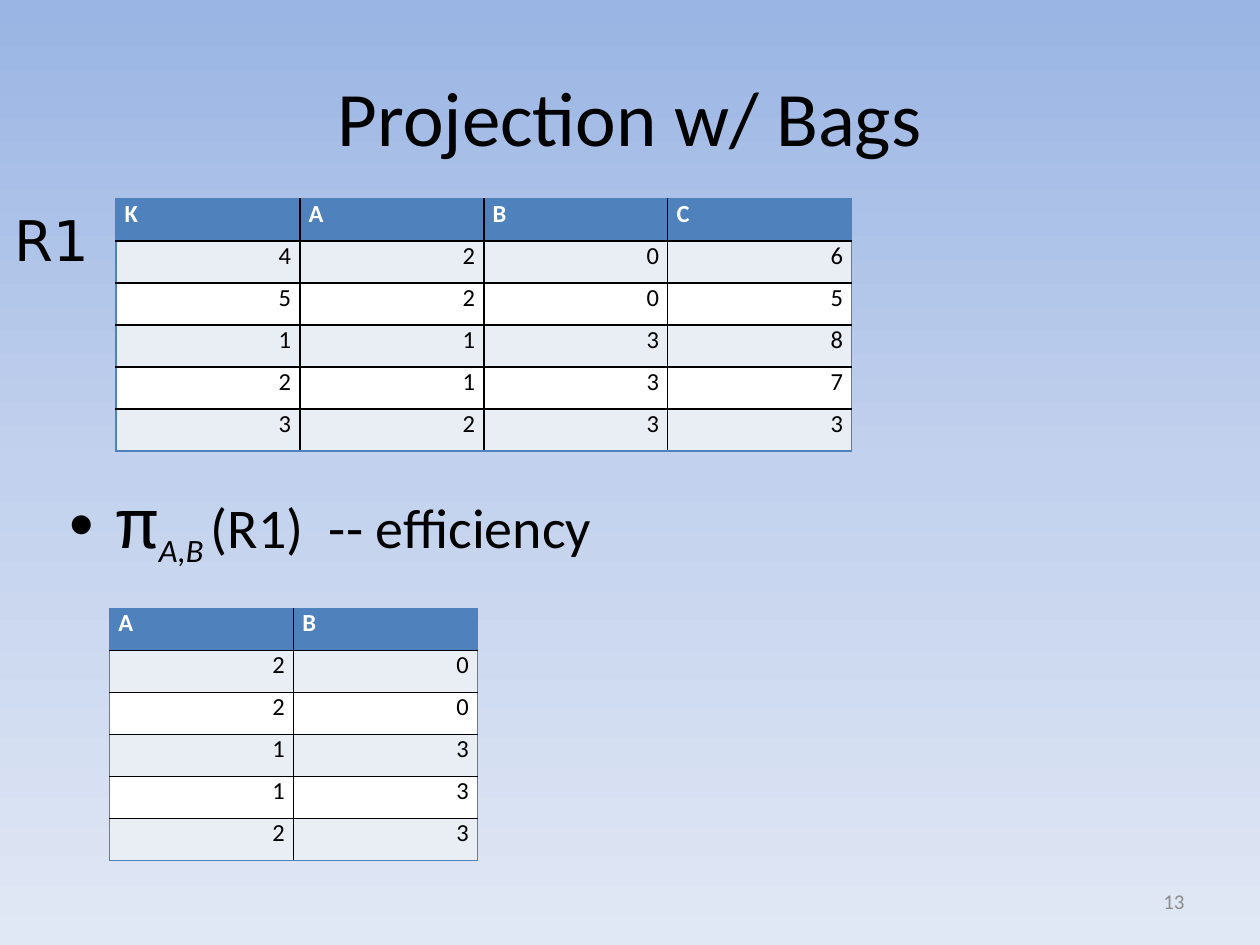
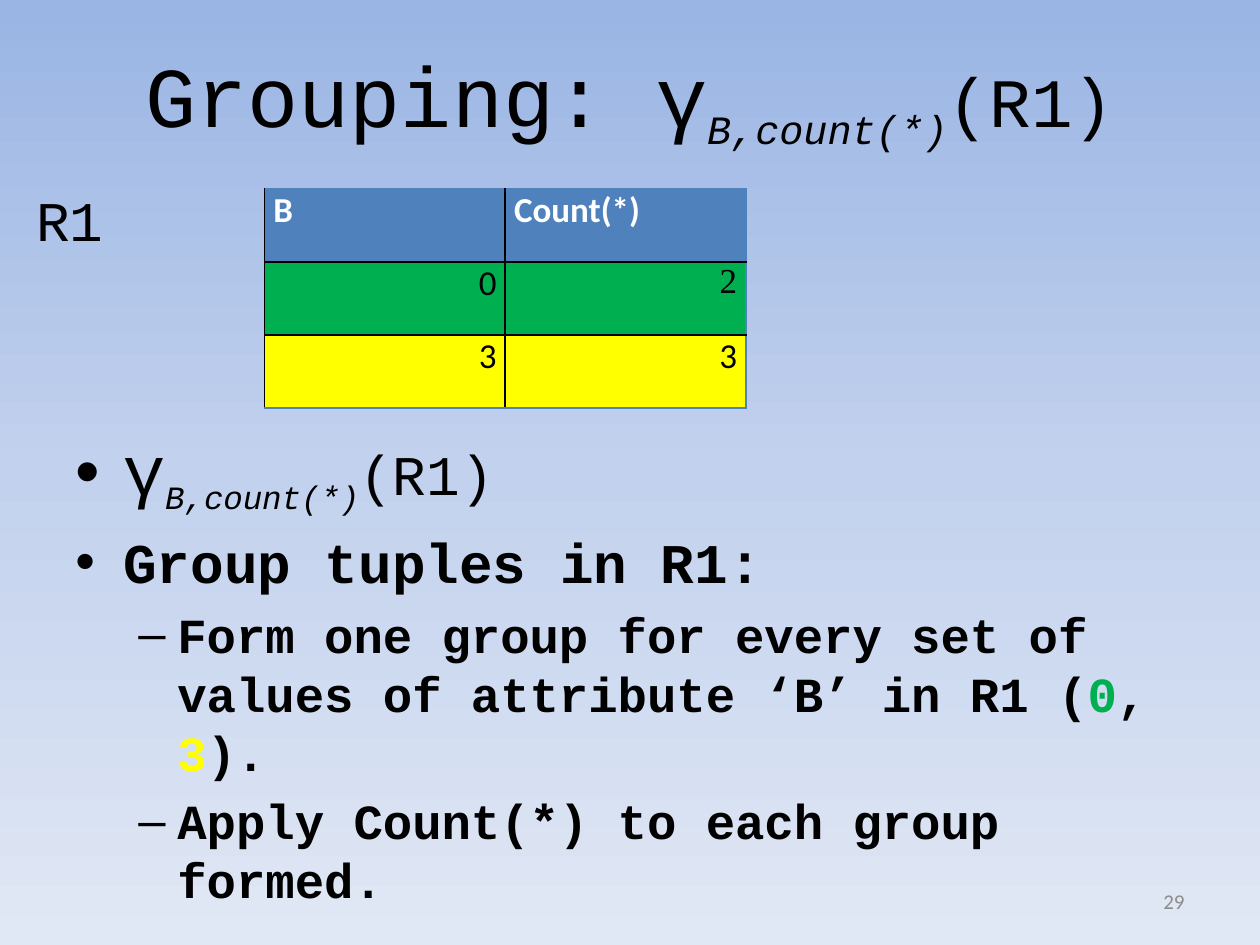
import copy
from lxml import etree
from pptx import Presentation
from pptx.dml.color import RGBColor
from pptx.enum import text
from pptx.oxml import ns
from pptx.util import Inches, Pt

COLORS = {"ink": "000000", "header": "4F81BD", "white": "FFFFFF", "band": "E9EDF4",
          "green": "00B050", "yellow": "FFFF00", "number": "8C8C8C",
          "sky_top": "9AB5E4", "sky_middle": "C2D1ED", "sky_bottom": "E1E8F5"}
SKY = [(0, "sky_top"), (0.5, "sky_middle"), (1, "sky_bottom")]
BASE = {"name": "Calibri", "size": Pt(32), "color": "ink"}
MONO = {"name": "Courier New"}
SUBSCRIPT = {"italic": True, "baseline": -25000}
PLAIN = {}
SPACED = {"space": "20000"}
BULLET = {**SPACED, "left": 0.38, "hang": 0.38, "bullet": "•"}
DASH = {**SPACED, "left": 0.81, "hang": 0.31, "bullet": "–"}
LEFT, CENTER, RIGHT = text.PP_ALIGN.LEFT, text.PP_ALIGN.CENTER, text.PP_ALIGN.RIGHT
TOP, MIDDLE = text.MSO_ANCHOR.TOP, text.MSO_ANCHOR.MIDDLE


def write(frame, paragraphs, style, align=LEFT, anchor=TOP):
    frame.word_wrap = True
    frame.vertical_anchor = anchor
    for index, (layout, runs) in enumerate(paragraphs):
        paragraph = frame.add_paragraph() if index else frame.paragraphs[0]
        paragraph.alignment = align
        properties = paragraph._p.get_or_add_pPr()
        if "space" in layout:
            before = etree.SubElement(properties, ns.qn("a:spcBef"))
            etree.SubElement(before, ns.qn("a:spcPct")).set("val", layout["space"])
        if "bullet" in layout:
            properties.set("marL", str(Inches(layout["left"])))
            properties.set("indent", str(-Inches(layout["hang"])))
            etree.SubElement(properties, ns.qn("a:buFont")).set("typeface", "Arial")
            etree.SubElement(properties, ns.qn("a:buChar")).set("char", layout["bullet"])
        for words, changes in runs:
            run = paragraph.add_run()
            run.text = words
            for key, value in {**BASE, **style, **changes}.items():
                if key == "color":
                    run.font.color.rgb = RGBColor.from_string(COLORS[value])
                elif key == "baseline":
                    run._r.get_or_add_rPr().set(key, str(value))
                else:
                    setattr(run.font, key, value)


def add_relation(slide, left, top, column_width, row_height, rows, size, fills, left_edge="header"):
    last_row, last_column = len(rows) - 1, len(rows[0]) - 1
    relation = slide.shapes.add_table(
        len(rows), len(rows[0]), Inches(left), Inches(top),
        Inches(column_width * len(rows[0])), Inches(row_height * len(rows))).table
    for column in relation.columns:
        column.width = Inches(column_width)
    for r, values in enumerate(rows):
        relation.rows[r].height = Inches(row_height)
        for c, value in enumerate(values):
            cell = relation.cell(r, c)
            cell.margin_left = cell.margin_right = Inches(0.07)
            cell.margin_top = cell.margin_bottom = 0
            words, changes = value if isinstance(value, tuple) else (value, PLAIN)
            style = {"size": Pt(size), "bold": r == 0, "color": "ink" if r else "white"}
            write(cell.text_frame, [(PLAIN, [(words, changes)])], style, RIGHT if r else LEFT)
            edges = {"a:lnL": "ink" if c else left_edge,
                     "a:lnR": "header" if c == last_column else "ink",
                     "a:lnT": "ink" if r else "header",
                     "a:lnB": "header" if r == last_row else "ink"}
            for tag, color in edges.items():
                line = etree.SubElement(cell._tc.get_or_add_tcPr(), ns.qn(tag), w=str(Pt(1)))
                paint = etree.SubElement(line, ns.qn("a:solidFill"))
                etree.SubElement(paint, ns.qn("a:srgbClr")).set("val", COLORS[color])
            cell.fill.solid()
            fill = fills[(r - 1) % len(fills)] if r else "header"
            cell.fill.fore_color.rgb = RGBColor.from_string(COLORS[fill])


deck = Presentation()
deck.slide_width, deck.slide_height = Inches(10), Inches(7.5)
projection, grouping = [deck.slides.add_slide(deck.slide_layouts[6]) for _ in range(2)]

for slide in (projection, grouping):
    sky = slide.background.fill
    sky.gradient()
    sky.gradient_angle = 270
    stops = slide.element.xpath(".//a:gsLst")[0]
    stops.insert(1, copy.deepcopy(stops[0]))
    for stop, (position, color) in zip(sky.gradient_stops, SKY):
        stop.position = position
        stop.color.rgb = RGBColor.from_string(COLORS[color])

add_relation(projection, 0.92, 1.58, 1.46, 1 / 3,
             ["KABC", "4206", "5205", "1138", "2137", "3233"], 14, ["band", "white"])
add_relation(projection, 0.87, 4.83, 1.46, 1 / 3,
             ["AB", "20", "20", "13", "13", "23"], 14, ["band", "white"])
add_relation(grouping, 2.1, 1.5, 1.91, 0.58,
             [["B", "Count(*)"], ["0", ("2", {"name": "Times New Roman"})], ["3", "3"]],
             20, ["green", "yellow"], "ink")

count_by_b = [("B,count(*)", SUBSCRIPT), ("(R1)", PLAIN)]
project_ab = [("π", {**MONO, "size": Pt(40)}), ("A,B ", SUBSCRIPT), ("(R1)  -- efficiency", PLAIN)]
group_form = [("Form one group for every set of values of attribute ‘B’ in R1 (", PLAIN),
              ("0", {"color": "green"}), (", ", PLAIN), ("3", {"color": "yellow"}), (").", PLAIN)]
strong = {"bold": True}
detail = {"bold": True, "size": Pt(28)}
steps = [(BULLET, [("γ", {"size": Pt(40)}), *count_by_b]),
         (BULLET, [("Group tuples in R1:", strong)]),
         (DASH, [(words, {**detail, **changes}) for words, changes in group_form]),
         (DASH, [("Apply Count(*) to each group formed.", detail)])]
number = {"size": Pt(12), "color": "number"}
number_box = (7.17, 6.95, 2.33, 0.4)

for slide, box, paragraphs, style, align, anchor in [
    (projection, (0.5, 0.17, 9, 1.5), [(PLAIN, [("Projection w/ Bags", PLAIN)])],
     {"size": Pt(44)}, CENTER, MIDDLE),
    (projection, number_box, [(PLAIN, [("13", PLAIN)])], number, RIGHT, MIDDLE),
    (projection, (0.02, 1.58, 0.84, 0.64), [(PLAIN, [("R1", PLAIN)])],
     {"name": "DejaVu Sans"}, LEFT, TOP),
    (projection, (0.45, 3.75, 8.86, 0.83), [(BULLET, project_ab)], PLAIN, LEFT, TOP),
    (grouping, (0.5, 0.3, 9, 0.95),
     [(PLAIN, [("Grouping: γ", {"size": Pt(48.6)}), *count_by_b])],
     {**MONO, "size": Pt(39.6)}, CENTER, MIDDLE),
    (grouping, number_box, [(PLAIN, [("29", PLAIN)])], number, RIGHT, MIDDLE),
    (grouping, (0.19, 1.42, 1.54, 2.08), [(SPACED, [("R1", PLAIN)])], MONO, LEFT, TOP),
    (grouping, (0.5, 3.33, 8.92, 3.37), steps, MONO, LEFT, TOP),
]:
    words_box = slide.shapes.add_textbox(*[Inches(length) for length in box])
    write(words_box.text_frame, paragraphs, style, align, anchor)

deck.save("out.pptx")
